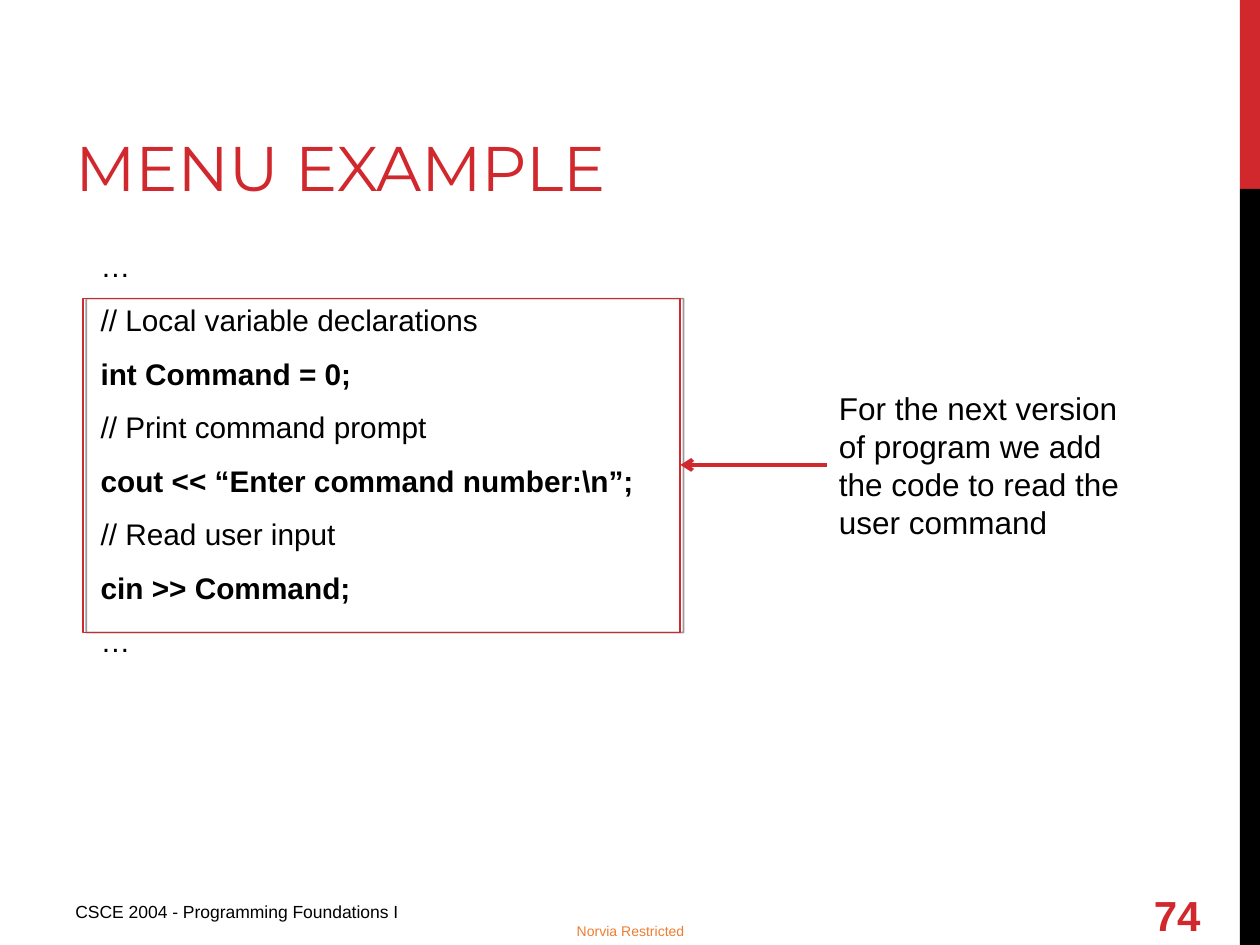
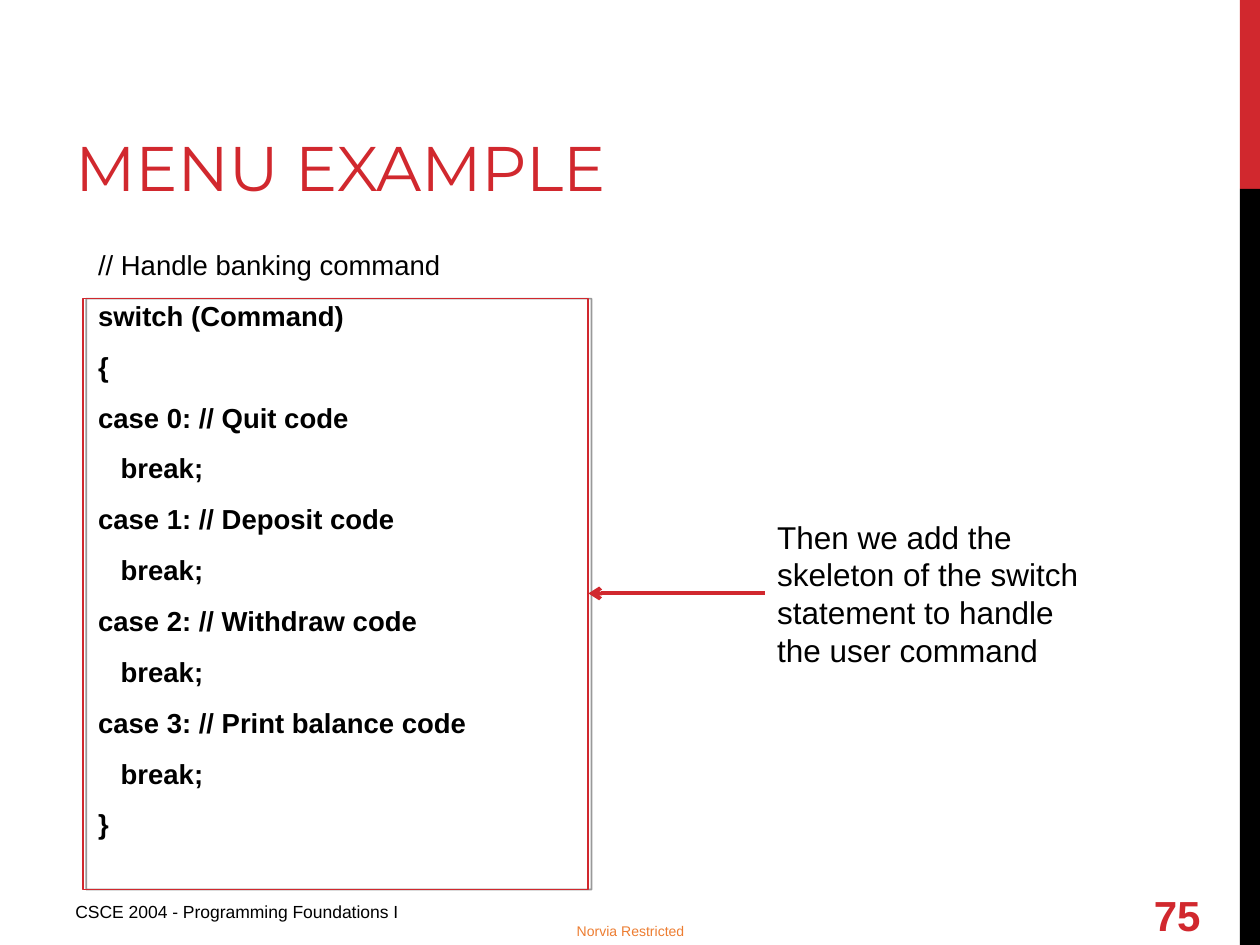
from pptx import Presentation
from pptx.util import Inches, Pt
from pptx.dml.color import RGBColor
from pptx.enum.shapes import MSO_SHAPE, MSO_CONNECTOR
from pptx.enum.text import MSO_ANCHOR, PP_ALIGN
from pptx.oxml.ns import qn
from lxml.etree import SubElement

COLORS = {"red": "D1282E", "black": "000000", "amber": "ED7D31"}
PAGES = [
    {
        "num": "74", "size": 17, "indent": 0.2,
        "code": [  # text, bold, indent level
            ("…", False, 1),
            ("// Local variable declarations", False, 1),
            ("int Command = 0;", True, 1),
            ("// Print command prompt", False, 1),
            ("cout << “Enter command number:\\n”;", True, 1),
            ("// Read user input", False, 1),
            ("cin >> Command;", True, 1),
            ("…", False, 1),
        ],
        "frame": (4.74, 2.65),
        "note": "For the next version of program we add the code to read the user command",
        "spot": (6.56, 3.04),
    },
    {
        "num": "75", "size": 15.7, "indent": 0.18,
        "code": [("// Handle banking command", False, 1),
                 ("switch (Command)", True, 1), ("{", True, 1)]
        + [line for i, task in enumerate(["Quit", "Deposit", "Withdraw", "Print balance"])
           for line in ((f"case {i}: // {task} code", True, 1), ("break;", True, 2))]
        + [("}", True, 1)],
        "frame": (4.01, 4.69),
        "note": "Then we add the skeleton of the switch statement to handle the user command",
        "spot": (6.07, 4.06),
    },
]


def style(par, size, color="black", font="Arial", bold=False):
    par.font.size = Pt(size)
    par.font.name = font
    par.font.bold = bold
    par.font.color.rgb = RGBColor.from_string(COLORS[color])


def add_text(slide, box, text, size, color="black", font="Arial", bold=False,
             anchor=MSO_ANCHOR.TOP):
    frame = slide.shapes.add_textbox(*map(Inches, box)).text_frame
    frame.word_wrap = True
    frame.vertical_anchor = anchor
    frame.text = text
    style(frame.paragraphs[0], size, color, font, bold)
    return frame


prs = Presentation()
prs.slide_width, prs.slide_height = Inches(10), Inches(7.5)

for page in PAGES:
    slide = prs.slides.add_slide(prs.slide_layouts[6])

    # Side bands
    for top, height, color in [(0, 1.5, "red"), (1.5, 6, "black")]:
        band = slide.shapes.add_shape(MSO_SHAPE.RECTANGLE, Inches(9.84), Inches(top),
                                      Inches(0.16), Inches(height))
        band.shadow.inherit = False
        band.fill.solid()
        band.fill.fore_color.rgb = RGBColor.from_string(COLORS[color])
        band.line.fill.background()

    # Title
    add_text(slide, (0.5, 0.17, 6.33, 1.5), "MENU EXAMPLE", 36, "red",
             "Montserrat", anchor=MSO_ANCHOR.BOTTOM)

    # Footers and page number
    label = add_text(slide, (4.38, 7.32, 1.25, 0.13), "Norvia Restricted", 8, "amber",
                     anchor=MSO_ANCHOR.MIDDLE)
    label.margin_left = label.margin_right = label.margin_top = label.margin_bottom = 0
    label.paragraphs[0].alignment = PP_ALIGN.CENTER
    add_text(slide, (0.5, 7.1, 3.75, 0.31), "CSCE 2004 - Programming Foundations I", 10)
    add_text(slide, (9.06, 7.06, 0.74, 0.4), page["num"], 24, "red", bold=True,
             anchor=MSO_ANCHOR.MIDDLE)

    # Code listing
    body = slide.shapes.add_textbox(Inches(0.5), Inches(1.92), Inches(8.33),
                                    Inches(4.78)).text_frame
    body.word_wrap = True
    for i, (text, bold, level) in enumerate(page["code"]):
        par = body.add_paragraph() if i else body.paragraphs[0]
        par.text = text
        style(par, page["size"], bold=bold)
        par.space_before, par.space_after = Pt(4.2), Pt(6)
        props = par._p.get_or_add_pPr()
        props.set("marL", str(Inches(level * page["indent"])))
        props.set("indent", "0")

    # Frame around the new code
    wide, high = page["frame"]
    frame = slide.shapes.add_shape(MSO_SHAPE.RECTANGLE, Inches(0.66), Inches(2.37),
                                   Inches(wide), Inches(high))
    frame.fill.background()
    frame.line.color.rgb = RGBColor.from_string(COLORS["red"])
    frame.line.width = Pt(1)
    effects = SubElement(frame._element.spPr, qn("a:effectLst"))
    shadow = SubElement(effects, qn("a:outerShdw"), blurRad="0", dist=str(Pt(1.8)),
                        dir="0", rotWithShape="0")
    tint = SubElement(shadow, qn("a:srgbClr"), val=COLORS["black"])
    SubElement(tint, qn("a:alpha"), val="40000")

    # Note and its arrow to the frame
    left, top = page["spot"]
    add_text(slide, (left, top, 2.6, 1.3), page["note"], 18)
    mid = Inches(top + 0.65)
    arrow = slide.shapes.add_connector(MSO_CONNECTOR.STRAIGHT, Inches(left), mid,
                                       Inches(0.66 + wide), mid)
    arrow.line.color.rgb = RGBColor.from_string(COLORS["red"])
    arrow.line.width = Pt(2.25)
    SubElement(arrow.line._get_or_add_ln(), qn("a:tailEnd"), type="arrow")
    SubElement(arrow._element.spPr, qn("a:effectLst"))

prs.save("out.pptx")
